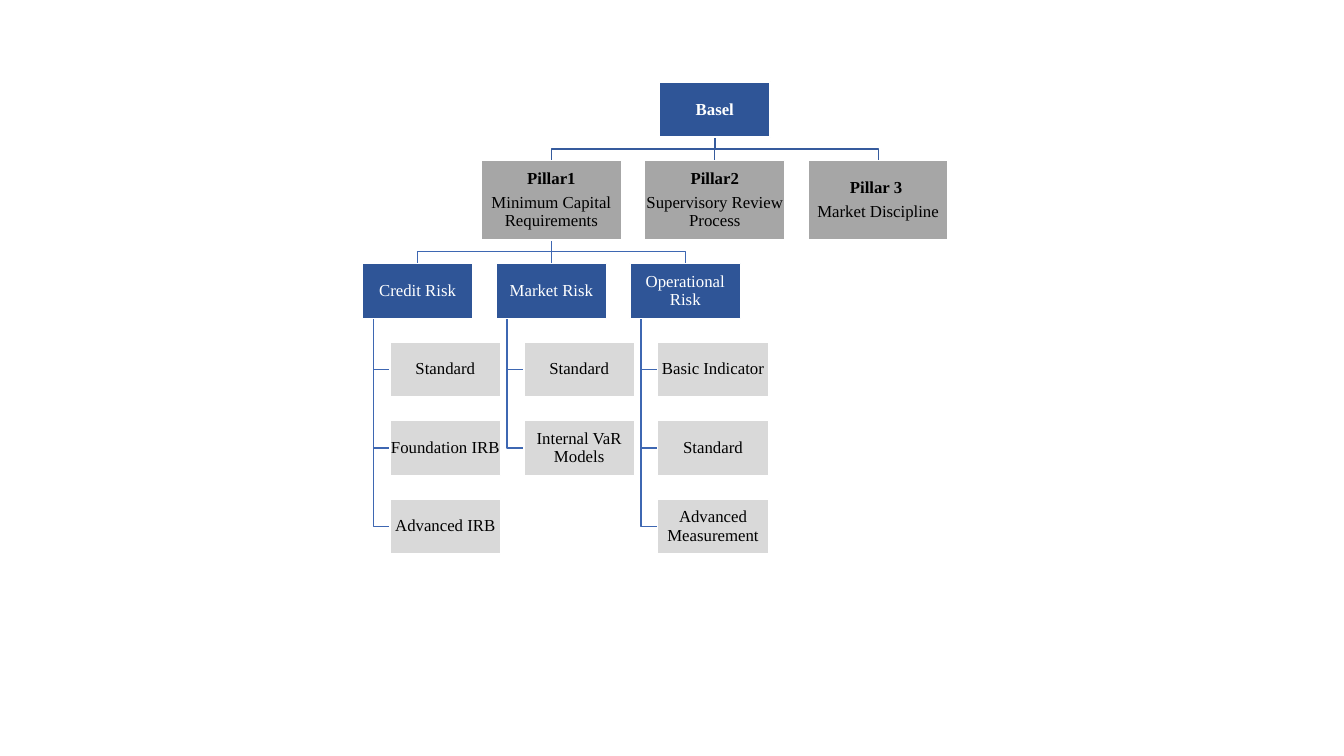
from dataclasses import dataclass

from lxml import etree
from pptx import Presentation
from pptx.dml.color import RGBColor
from pptx.enum.shapes import MSO_CONNECTOR, MSO_SHAPE
from pptx.enum.text import MSO_ANCHOR, PP_ALIGN
from pptx.oxml.ns import qn
from pptx.util import Pt

RECT = MSO_SHAPE.RECTANGLE
STRAIGHT = MSO_CONNECTOR.STRAIGHT
MIDDLE = MSO_ANCHOR.MIDDLE
CENTER = PP_ALIGN.CENTER
BOTTOM_SIDE, TOP_SIDE = 2, 0

WHITE = RGBColor(0xFF, 0xFF, 0xFF)
BLACK = RGBColor(0x00, 0x00, 0x00)
NAVY = RGBColor(0x2F, 0x55, 0x97)
GREY = RGBColor(0xA6, 0xA6, 0xA6)
PALE = RGBColor(0xD9, 0xD9, 0xD9)
PILLAR_LINE = RGBColor(0x36, 0x5B, 0x9D)
RISK_LINE = RGBColor(0x3E, 0x67, 0xB2)

# Layout, in points
TOP, GAP = 58.6, 16.7
BOX_W, BOX_H = 79, 39.4
PILLAR_W, PILLAR_H = 100, 56.7
FIRST_PILLAR_X, PILLAR_STEP, RISK_STEP = 393.9, 116.7, 95.6
STEM_INDENT, METHOD_INDENT = 7.8, 19.8

PILLARS = [
    ("Pillar1", "Minimum Capital Requirements"),
    ("Pillar2", "Supervisory Review Process"),
    ("Pillar 3 ", "Market Discipline"),
]
RISKS = {
    "Credit Risk": ["Standard", "Foundation IRB", "Advanced IRB"],
    "Market Risk": ["Standard", "Internal VaR Models"],
    "Operational Risk": ["Basic Indicator", "Standard", "Advanced Measurement"],
}


@dataclass
class Box:
    heading: str
    body: str
    cx: float
    top: float
    fill: RGBColor
    color: RGBColor = BLACK
    width: float = BOX_W
    height: float = BOX_H

    @property
    def left(self) -> float:
        return self.cx - self.width / 2

    @property
    def bottom(self) -> float:
        return self.top + self.height

    @property
    def middle(self) -> float:
        return self.top + self.height / 2


def add_box(slide, box: Box):
    sp = slide.shapes.add_shape(RECT, Pt(box.left), Pt(box.top), Pt(box.width), Pt(box.height))
    sp.shadow.inherit = False
    sp.fill.solid()
    sp.fill.fore_color.rgb = box.fill
    sp.line.color.rgb = WHITE
    sp.line.width = Pt(1)
    tf = sp.text_frame
    frame_format = {"word_wrap": True, "vertical_anchor": MIDDLE}
    frame_format |= {f"margin_{side}": Pt(0.6) for side in ("left", "top", "right", "bottom")}
    for name, value in frame_format.items():
        setattr(tf, name, value)
    lines = [(text, bold) for text, bold in ((box.heading, True), (box.body, False)) if text]
    for i, (text, bold) in enumerate(lines):
        p = tf.paragraphs[0] if i == 0 else tf.add_paragraph()
        for name, value in {"alignment": CENTER, "line_spacing": 0.9, "space_after": Pt(4.2)}.items():
            setattr(p, name, value)
        r = p.add_run()
        r.text = text
        for name, value in {"name": "Times New Roman", "size": Pt(12), "bold": bold}.items():
            setattr(r.font, name, value)
        r.font.color.rgb = box.color
    return sp


def style_line(line, color: RGBColor, behind) -> None:
    line.line.color.rgb = color
    line.line.width = Pt(1)
    behind._element.addprevious(line._element)


def add_elbow(slide, points: list[tuple[float, float]], color: RGBColor, behind) -> None:
    (x, y), *rest = [(Pt(px), Pt(py)) for px, py in points]
    builder = slide.shapes.build_freeform(x, y)
    builder.add_line_segments(rest, close=False)
    sp = builder.convert_to_shape()
    sp.shadow.inherit = False
    sp.fill.background()
    style_line(sp, color, behind)


def add_straight(slide, parent, child, color: RGBColor, behind) -> None:
    line = slide.shapes.add_connector(STRAIGHT, 0, 0, 0, 0)
    line.begin_connect(parent, BOTTOM_SIDE)
    line.end_connect(child, TOP_SIDE)
    etree.SubElement(line._element.spPr, qn("a:effectLst"))
    style_line(line, color, behind)


def add_level(slide, parent: Box, parent_sp, children: list[Box], color: RGBColor, behind) -> list:
    """Draw a row of boxes and join each one to its parent above."""
    shapes = [add_box(slide, child) for child in children]
    bus = parent.bottom + GAP / 2
    for child, sp in zip(children, shapes):
        if abs(child.cx - parent.cx) < 0.1:
            add_straight(slide, parent_sp, sp, color, behind)
        else:
            add_elbow(slide, [(parent.cx, parent.bottom), (parent.cx, bus),
                              (child.cx, bus), (child.cx, child.top)], color, behind)
    return shapes


def main() -> None:
    prs = Presentation()
    prs.slide_width, prs.slide_height = Pt(960), Pt(540)
    slide = prs.slides.add_slide(prs.slide_layouts[6])

    # Root and pillars
    root = Box("Basel", "", FIRST_PILLAR_X + PILLAR_STEP, TOP, NAVY, WHITE)
    root_sp = add_box(slide, root)
    pillars = [
        Box(heading, body, FIRST_PILLAR_X + i * PILLAR_STEP, root.bottom + GAP, GREY,
            width=PILLAR_W, height=PILLAR_H)
        for i, (heading, body) in enumerate(PILLARS)
    ]
    pillar_sps = add_level(slide, root, root_sp, pillars, PILLAR_LINE, root_sp)

    # Risk types under the first pillar
    first = pillars[0]
    risks = [
        Box("", name, first.cx + (i - 1) * RISK_STEP, first.bottom + GAP, NAVY, WHITE)
        for i, name in enumerate(RISKS)
    ]
    add_level(slide, first, pillar_sps[0], risks, RISK_LINE, root_sp)

    # Methods hanging from each risk type
    for risk, methods in zip(risks, RISKS.values()):
        stem = risk.left + STEM_INDENT
        for row, name in enumerate(methods, start=1):
            method = Box("", name, risk.cx + METHOD_INDENT, risk.top + row * (BOX_H + GAP), PALE)
            add_box(slide, method)
            add_elbow(slide, [(stem, risk.bottom), (stem, method.middle),
                              (method.left, method.middle)], RISK_LINE, root_sp)

    prs.save("out.pptx")


if __name__ == "__main__":
    main()
